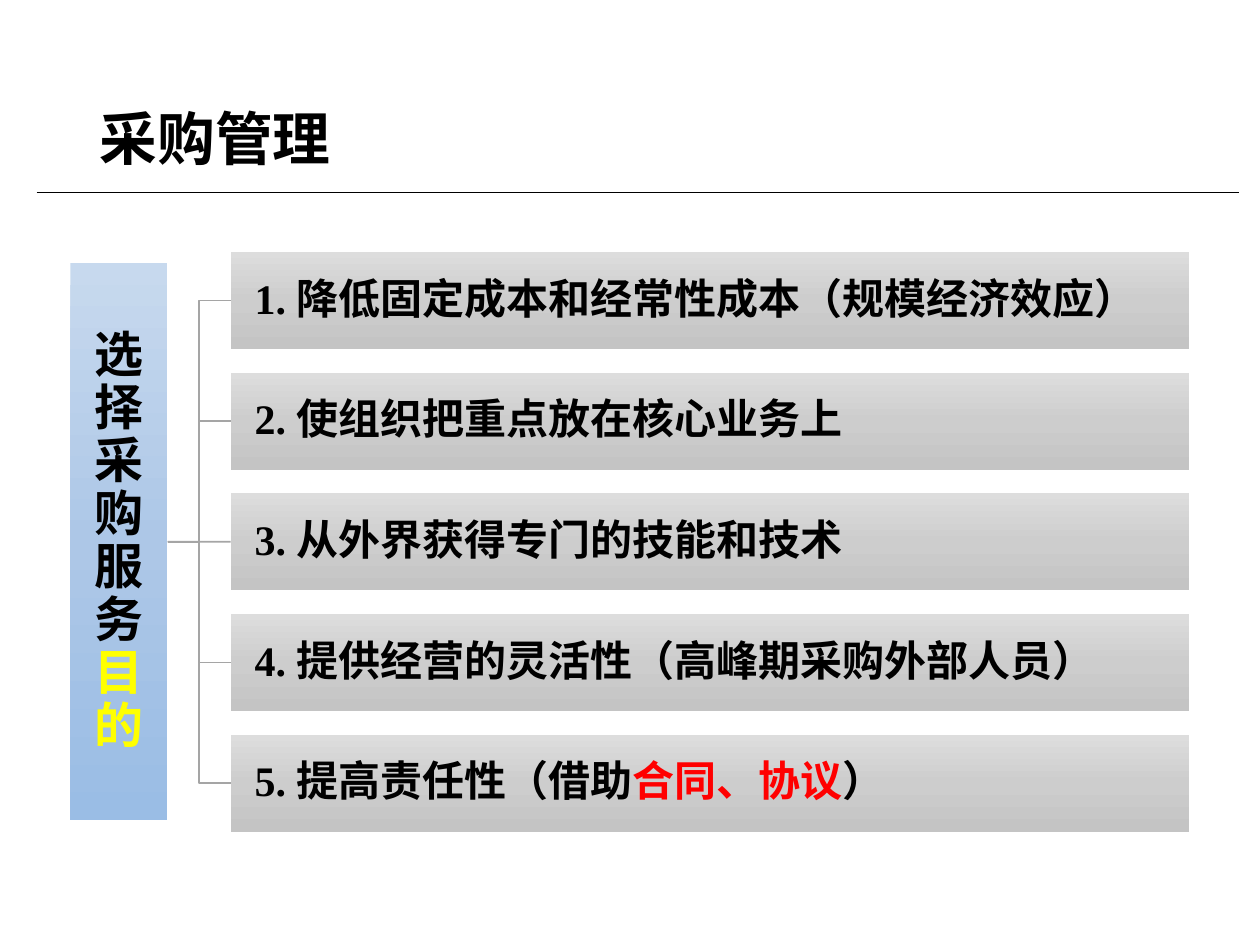
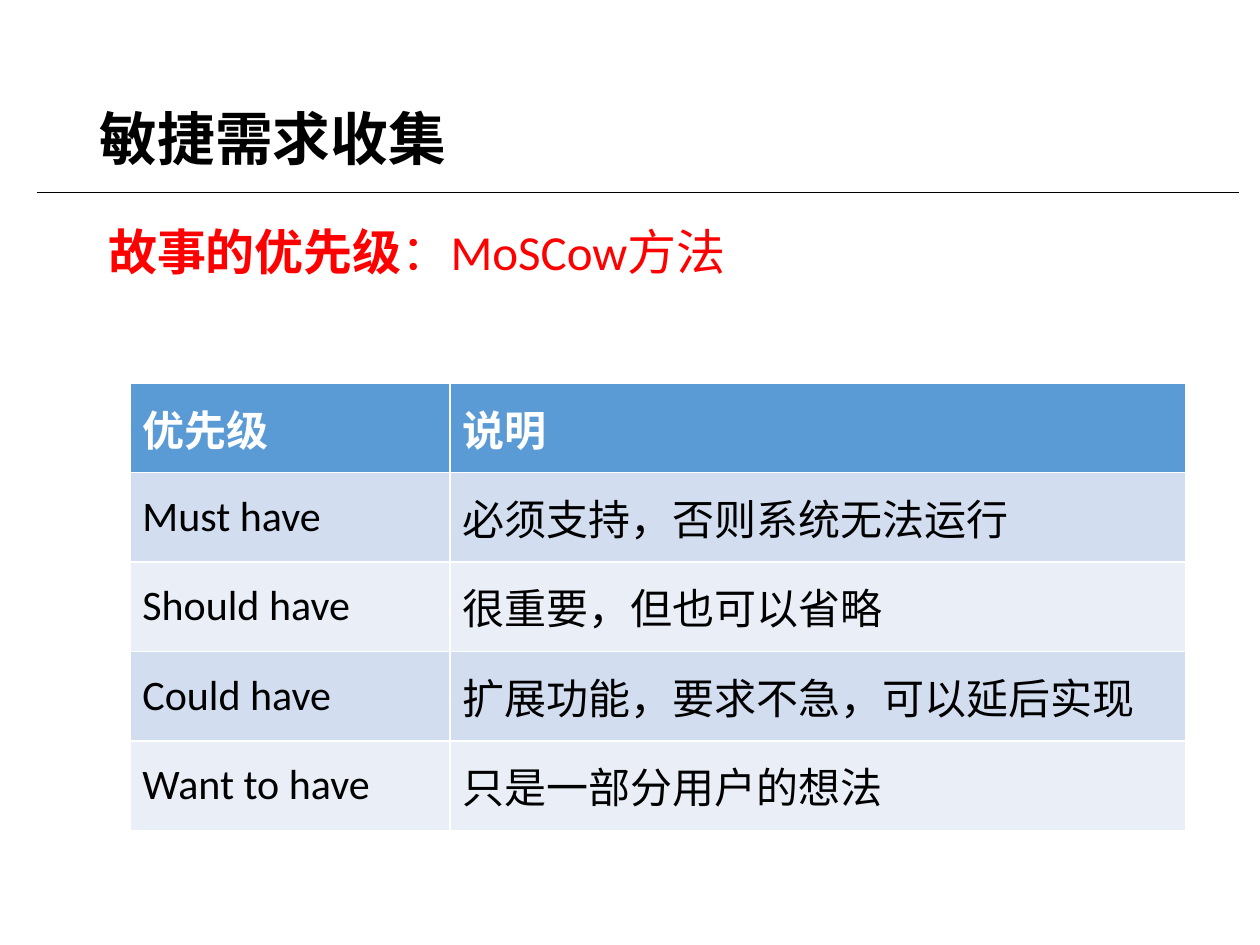
from copy import deepcopy

from pptx import Presentation
from pptx.dml.color import RGBColor
from pptx.enum import shapes, text
from pptx.oxml import parse_xml
from pptx.oxml.ns import nsdecls
from pptx.util import Inches, Pt

BLACK = RGBColor(0x00, 0x00, 0x00)
WHITE = RGBColor(0xFF, 0xFF, 0xFF)
RED = RGBColor(0xFF, 0x00, 0x00)
YELLOW = RGBColor(0xFF, 0xFF, 0x00)
BRANCH_GREY = RGBColor(0xA5, 0xA5, 0xA5)
HEADER_BLUE = RGBColor(0x5B, 0x9B, 0xD5)
ROW_BLUES = (RGBColor(0xD2, 0xDE, 0xEF), RGBColor(0xEA, 0xEF, 0xF7))
BLUE_STOPS = [RGBColor.from_string(c) for c in ("C7D9EE", "ADC7E7", "9ABDE5")]
GREY_STOPS = [RGBColor.from_string(c) for c in ("DDDDDD", "CDCDCD", "C4C4C4")]

BODY_FONT = "Calibri"
DIAGRAM_FONT = "Times New Roman"

PURPOSES = [
    [("1. 降低固定成本和经常性成本（规模经济效应）", BLACK)],
    [("2. 使组织把重点放在核心业务上", BLACK)],
    [("3. 从外界获得专门的技能和技术", BLACK)],
    [("4. 提供经营的灵活性（高峰期采购外部人员）", BLACK)],
    [("5. 提高责任性（借助", BLACK), ("合同、协议", RED), ("）", BLACK)],
]
PRIORITIES = [
    ("优先级", "说明"),
    ("Must have", "必须支持，否则系统无法运行"),
    ("Should have", "很重要，但也可以省略"),
    ("Could have", "扩展功能，要求不急，可以延后实现"),
    ("Want to have", "只是一部分用户的想法"),
]


def style_font(font, name, size, color, bold=False):
    font.name, font.size, font.bold = name, Pt(size), bold
    font.color.rgb = color


def style_line(connector, color, width):
    connector.line.color.rgb = color
    connector.line.width = Pt(width)
    connector._element.spPr.append(parse_xml(f"<a:effectLst {nsdecls('a')}/>"))


# Shared title style
def prepare_layout(prs):
    """Put the title box and the rule below it on the Title Only layout."""
    layout = prs.slide_layouts[5]
    title = layout.placeholders[0]
    title.left, title.top = Inches(0.69), Inches(0.4)
    title.width, title.height = Inches(8.62), Inches(1.45)
    title.text_frame.vertical_anchor = text.MSO_ANCHOR.MIDDLE
    return layout


def add_titled_slide(prs, layout, heading):
    slide = prs.slides.add_slide(layout)
    slide.shapes.title.text_frame.text = heading
    paragraph = slide.shapes.title.text_frame.paragraphs[0]
    paragraph.alignment = text.PP_ALIGN.LEFT
    paragraph.line_spacing = 0.9
    style_font(paragraph.runs[0].font, BODY_FONT, 33, BLACK, bold=True)
    rule = slide.shapes.add_connector(
        shapes.MSO_CONNECTOR.STRAIGHT,
        Inches(0.29), Inches(1.53), Inches(9.83), Inches(1.53))
    style_line(rule, BLACK, 0.5)
    return slide


# Purpose tree
def add_gradient_box(slide, left, top, width, height, stops, parts, size, indent=0.02):
    box = slide.shapes.add_shape(
        shapes.MSO_SHAPE.RECTANGLE,
        Inches(left), Inches(top), Inches(width), Inches(height))
    box.shadow.inherit = False
    box.line.fill.background()
    box.fill.gradient()
    box.fill.gradient_angle = 270
    first_stop = box.fill.gradient_stops[0]._gs
    first_stop.addnext(deepcopy(first_stop))
    for i, (stop, color) in enumerate(zip(box.fill.gradient_stops, stops)):
        stop.color.rgb = color
        stop.position = i / 2

    frame = box.text_frame
    frame.word_wrap = True
    frame.vertical_anchor = text.MSO_ANCHOR.MIDDLE
    frame.margin_left = Inches(indent)
    frame.margin_top = frame.margin_right = frame.margin_bottom = Inches(0.02)
    paragraph = frame.paragraphs[0]
    paragraph.alignment = text.PP_ALIGN.LEFT
    paragraph.line_spacing = 0.9
    for words, color in parts:
        run = paragraph.add_run()
        run.text = words
        style_font(run.font, DIAGRAM_FONT, size, color, bold=True)
    return box


def add_purpose_tree(slide, left, top, width, height):
    bar_height, root_height, branch_width = 0.77, 4.42, 0.5
    root = add_gradient_box(
        slide, left, top + (height - root_height) / 2, bar_height, root_height,
        BLUE_STOPS, [("选择采购服务", BLACK), ("目的", YELLOW)], 28)
    root.text_frame.paragraphs[0].alignment = text.PP_ALIGN.CENTER

    bar_offset = bar_height + branch_width
    pitch = (height - bar_height) / (len(PURPOSES) - 1)
    for i, parts in enumerate(PURPOSES):
        bar = add_gradient_box(
            slide, left + bar_offset, top + i * pitch, width - bar_offset,
            bar_height, GREY_STOPS, parts, 24, indent=0.19)
        is_middle = i == len(PURPOSES) // 2
        kind = shapes.MSO_CONNECTOR.STRAIGHT if is_middle else shapes.MSO_CONNECTOR.ELBOW
        branch = slide.shapes.add_connector(kind, 0, 0, 0, 0)
        branch.begin_connect(root, 3)
        branch.end_connect(bar, 1)
        style_line(branch, BRANCH_GREY, 1)


# Priority method
def add_method_heading(slide, left, top, width, height):
    frame = slide.shapes.add_textbox(
        Inches(left), Inches(top), Inches(width), Inches(height)).text_frame
    frame.word_wrap = True
    for words, bold in (("故事的优先级", True), ("：MoSCow方法", False)):
        run = frame.paragraphs[0].add_run()
        run.text = words
        style_font(run.font, BODY_FONT, 28, RED, bold)


def add_priority_table(slide, left, top, column_widths, row_height):
    table = slide.shapes.add_table(
        len(PRIORITIES), len(column_widths), Inches(left), Inches(top),
        Inches(sum(column_widths)), Inches(row_height * len(PRIORITIES))).table
    for column, width in zip(table.columns, column_widths):
        column.width = Inches(width)
    for r, entries in enumerate(PRIORITIES):
        table.rows[r].height = Inches(row_height)
        is_header = r == 0
        for c, words in enumerate(entries):
            cell = table.cell(r, c)
            cell.vertical_anchor = text.MSO_ANCHOR.MIDDLE
            cell.fill.solid()
            cell.fill.fore_color.rgb = HEADER_BLUE if is_header else ROW_BLUES[(r - 1) % 2]
            cell.text_frame.text = words
            style_font(cell.text_frame.paragraphs[0].runs[0].font, BODY_FONT, 24,
                       WHITE if is_header else BLACK, is_header)


def main():
    prs = Presentation()
    prs.slide_width, prs.slide_height = Inches(10), Inches(7.5)
    layout = prepare_layout(prs)

    procurement = add_titled_slide(prs, layout, "采购管理")
    add_purpose_tree(procurement, 0.56, 2, 8.88, 4.6)

    requirements = add_titled_slide(prs, layout, "敏捷需求收集")
    add_method_heading(requirements, 0.76, 1.71, 6.04, 0.57)
    add_priority_table(requirements, 1.03, 3.04, (2.54, 5.84), 0.71)

    prs.save("out.pptx")


if __name__ == "__main__":
    main()
